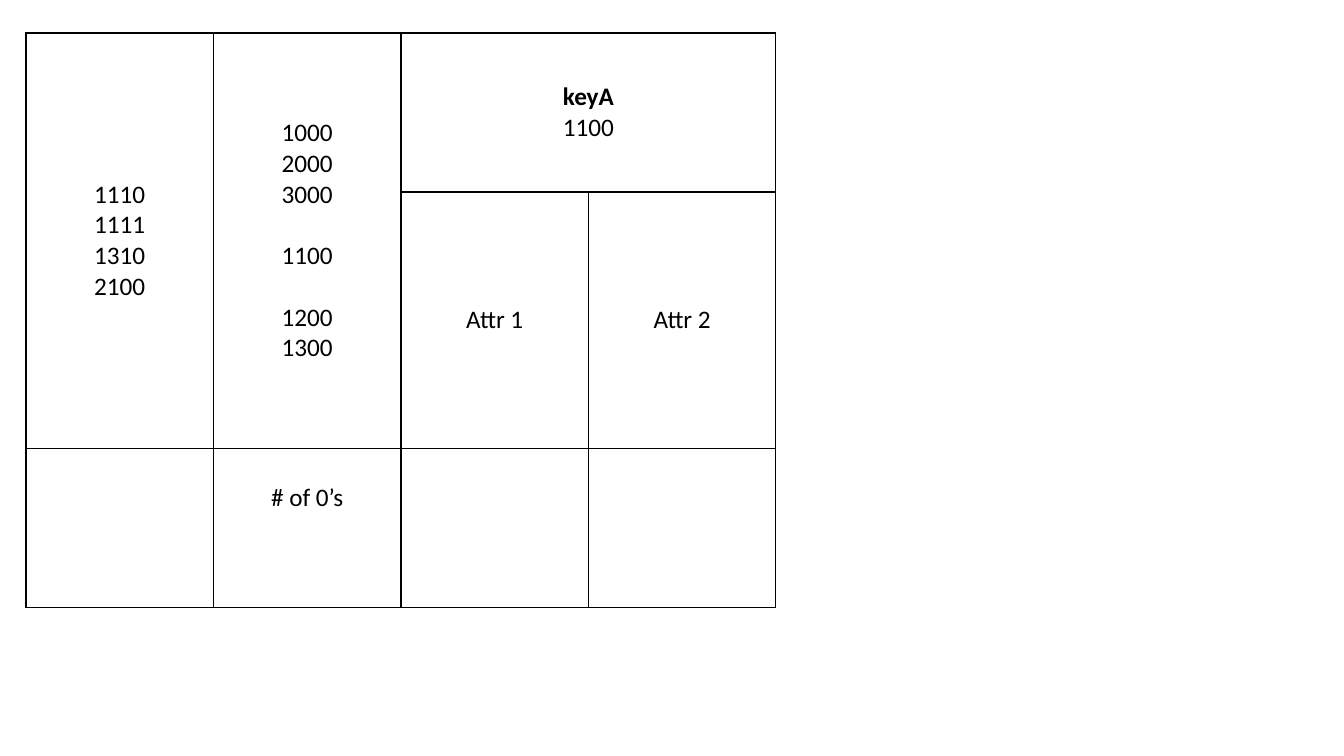
from lxml import etree
from pptx import Presentation
from pptx.dml.color import RGBColor
from pptx.enum.text import MSO_ANCHOR, PP_ALIGN
from pptx.oxml.ns import qn
from pptx.util import Pt

PX = 914400 / 100.8
MIDDLE = MSO_ANCHOR.MIDDLE
CENTER = PP_ALIGN.CENTER
BLACK = "000000"
WHITE = "FFFFFF"
LINE_GAP = Pt(22)


def px(length):
    return round(length * PX)


def color(value):
    return RGBColor.from_string(value)


deck = Presentation()
deck.slide_width = px(1344)
deck.slide_height = px(756)
page = deck.slides.add_slide(deck.slide_layouts[6])

table = page.shapes.add_table(3, 4, px(26), px(33), px(750), px(477)).table
table.first_row = False
table.horz_banding = False
for column in (0, 1):
    table.cell(0, column).merge(table.cell(1, column))
table.cell(0, 2).merge(table.cell(0, 3))

for cell in table.iter_cells():
    cell.vertical_anchor = MIDDLE
    cell.fill.solid()
    cell.fill.fore_color.rgb = color(WHITE)
    properties = cell._tc.get_or_add_tcPr()
    for position, side in enumerate(("a:lnL", "a:lnR", "a:lnT", "a:lnB")):
        border = etree.Element(qn(side), w=str(Pt(1)))
        fill = etree.SubElement(border, qn("a:solidFill"))
        etree.SubElement(fill, qn("a:srgbClr"), val=BLACK)
        properties.insert(position, border)

cell_lines = {
    (0, 0): ["1110", "1111", "1310", "2100"],
    (0, 1): ["1000", "2000", "3000", "1100", "1200", "1300"],
    (0, 2): ["keyA", "1100"],
    (1, 2): ["Attr 1"],
    (1, 3): ["Attr 2"],
    (2, 1): ["# of 0’s"],
}
for (row, column), lines in cell_lines.items():
    cell = table.cell(row, column)
    cell.text = "\n".join(lines)
    for para in cell.text_frame.paragraphs:
        para.alignment = CENTER
        para.font.name = "Calibri"
        para.font.size = Pt(18)
        para.font.bold = para.text == "keyA"
        para.font.color.rgb = color(BLACK)

number_paras = table.cell(0, 1).text_frame.paragraphs
for group_start in (3, 4):
    number_paras[group_start].space_before = LINE_GAP
table.cell(2, 1).margin_bottom = px(65)

deck.save("out.pptx")
